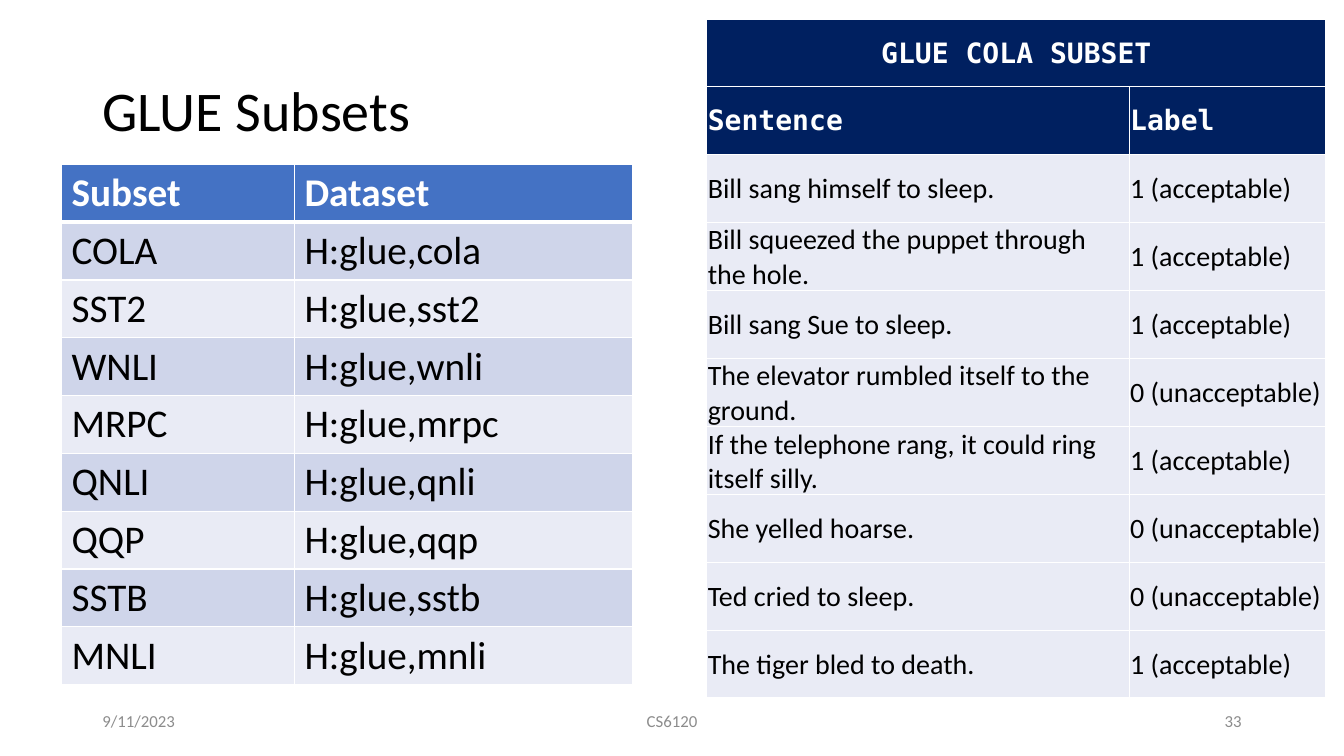
from lxml import etree
from pptx import Presentation
from pptx.dml.color import RGBColor
from pptx.enum.text import MSO_ANCHOR, PP_ALIGN
from pptx.oxml.ns import qn
from pptx.util import Inches, Pt

LEFT, MID, RIGHT = PP_ALIGN.LEFT, PP_ALIGN.CENTER, PP_ALIGN.RIGHT
TOP, CENTER = MSO_ANCHOR.TOP, MSO_ANCHOR.MIDDLE
SANS, MONO = "Calibri", "DejaVu Sans Mono"

deck = Presentation()
deck.slide_width, deck.slide_height = Inches(13.33), Inches(7.5)
wide, high = deck.slide_width / 100, deck.slide_height / 100
slide = deck.slides.add_slide(deck.slide_layouts[6])


def shade(fill, tone):
    fill.solid()
    fill.fore_color.rgb = RGBColor.from_string(tone)


def write(frame, text, align, tone, form):
    para = frame.paragraphs[0]
    para.alignment = align
    run = para.add_run()
    run.text = text
    shade(run.font.fill, tone)
    for key, value in form.items():
        setattr(run.font, key, value)
    return para


labels = [
    ("GLUE Subsets", 6.88, 5.32, 86.25, 19.33, LEFT, "000000", 40),
    ("CS6120", 33.13, 92.69, 33.75, 5.32, MID, "8C8C8C", 12),
    ("9/11/2023", 6.88, 92.69, 22.5, 5.32, LEFT, "8C8C8C", 12),
    ("33", 70.63, 92.69, 22.5, 5.32, RIGHT, "8C8C8C", 12),
]
for text, x, y, w, h, align, tone, size in labels:
    box = slide.shapes.add_textbox(
        int(x * wide), int(y * high), int(w * wide), int(h * high))
    box.text_frame.word_wrap = True
    box.text_frame.vertical_anchor = CENTER
    para = write(box.text_frame, text, align, tone,
                 {"size": Pt(size), "name": SANS})
    if size == 40:
        para.line_spacing = 0.9

names = ["COLA", "SST2", "WNLI", "MRPC", "QNLI", "QQP", "SSTB", "MNLI"]
subsets = [("Subset", "Dataset")]
subsets += [(name, f"H:glue,{name.lower()}") for name in names]

verdicts = ["0 (unacceptable)", "1 (acceptable)"]
judged = [
    ("Bill sang himself to sleep.", 1),
    ("Bill squeezed the puppet through the hole.", 1),
    ("Bill sang Sue to sleep.", 1),
    ("The elevator rumbled itself to the ground.", 0),
    ("If the telephone rang, it could ring itself silly.", 1),
    ("She yelled hoarse.", 0),
    ("Ted cried to sleep.", 0),
    ("The tiger bled to death.", 1),
]
cola = [("GLUE COLA SUBSET", ""), ("Sentence", "Label")]
cola += [(text, verdicts[mark]) for text, mark in judged]

tables = [
    {"rows": subsets, "x": 4.58, "y": 21.73, "cols": (17.33, 25.13),
     "step": 7.65, "heads": 1, "head": "4472C4", "bands": ("E9EBF5", "CFD5EA"),
     "face": SANS, "size": 28, "rule": 3, "cell": {"vertical_anchor": TOP}},
    {"rows": cola, "x": 52.59, "y": 2.53, "cols": (31.43, 14.63),
     "step": 8.96, "heads": 2, "head": "002060", "bands": ("E9EBF5", "E9EBF5"),
     "face": MONO, "size": 20, "rule": 1,
     "cell": {"vertical_anchor": CENTER, "margin_left": Inches(0.01),
              "margin_top": Inches(0.01), "margin_right": Inches(0.01),
              "margin_bottom": 0}},
]
for plan in tables:
    rows, cols = plan["rows"], plan["cols"]
    table = slide.shapes.add_table(
        len(rows), len(cols), int(plan["x"] * wide), int(plan["y"] * high),
        int(sum(cols) * wide), int(len(rows) * plan["step"] * high)).table
    for col, width in zip(table.columns, cols):
        col.width = int(width * wide)
    if plan["heads"] == 2:
        table.cell(0, 0).merge(table.cell(0, 1))
    for r, row in enumerate(rows):
        table.rows[r].height = int(plan["step"] * high)
        head = r < plan["heads"]
        for c, text in enumerate(row):
            cell = table.cell(r, c)
            shade(cell.fill, plan["head"] if head else plan["bands"][r % 2])
            for key, value in plan["cell"].items():
                setattr(cell, key, value)
            if not cell.is_spanned:
                write(cell.text_frame, text,
                      MID if cell.is_merge_origin else LEFT,
                      "FFFFFF" if head else "000000",
                      {"size": Pt(plan["size"]), "bold": head,
                       "name": plan["face"] if head else SANS})
            props = cell._tc.get_or_add_tcPr()
            for i, side in enumerate(("lnL", "lnR", "lnT", "lnB")):
                thick = (r, side) in ((0, "lnB"), (1, "lnT"))
                line = etree.Element(qn(f"a:{side}"))
                line.set("w", str(Pt(plan["rule"] if thick else 1)))
                solid = etree.SubElement(line, qn("a:solidFill"))
                etree.SubElement(solid, qn("a:srgbClr")).set("val", "FFFFFF")
                props.insert(i, line)

deck.save("out.pptx")
